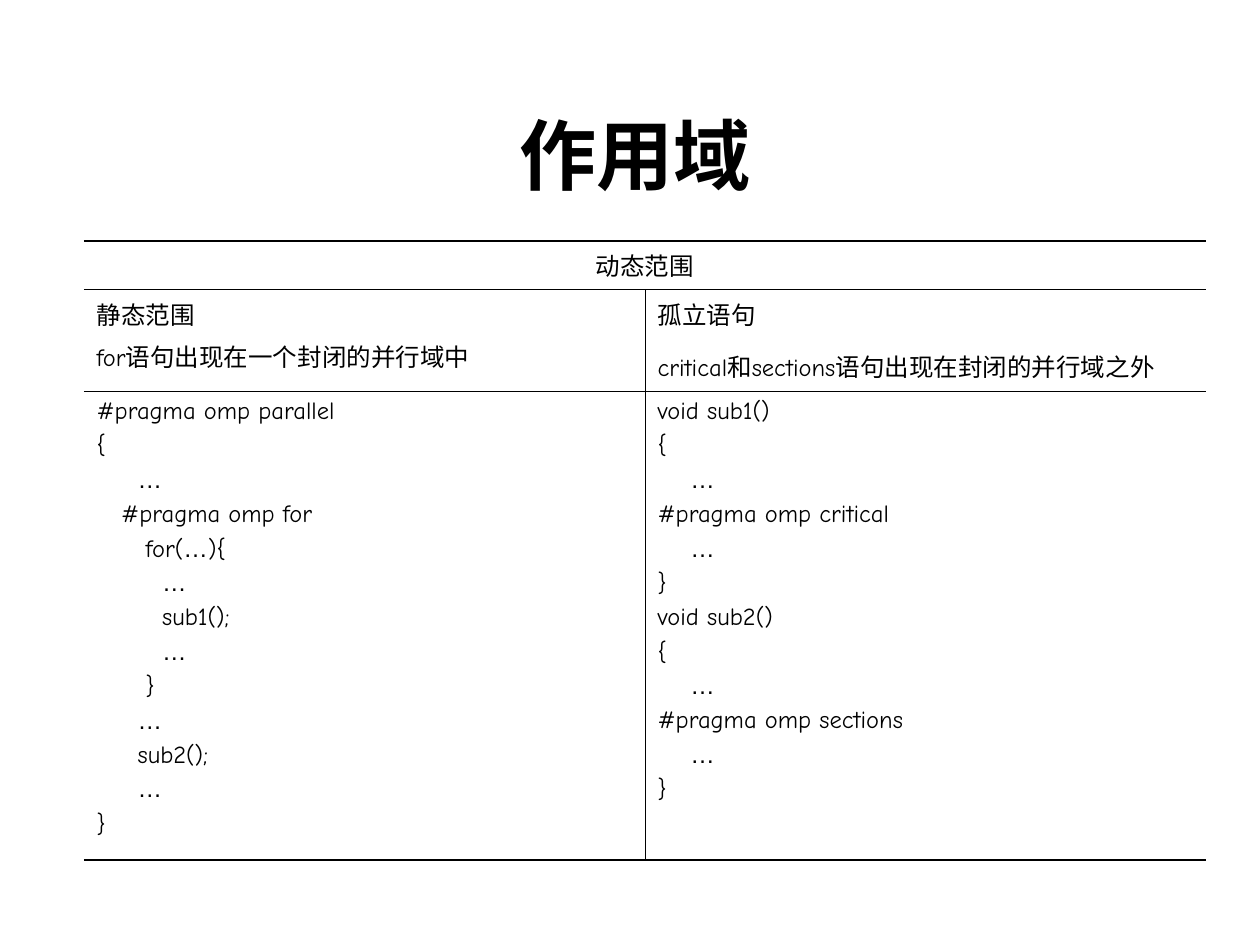
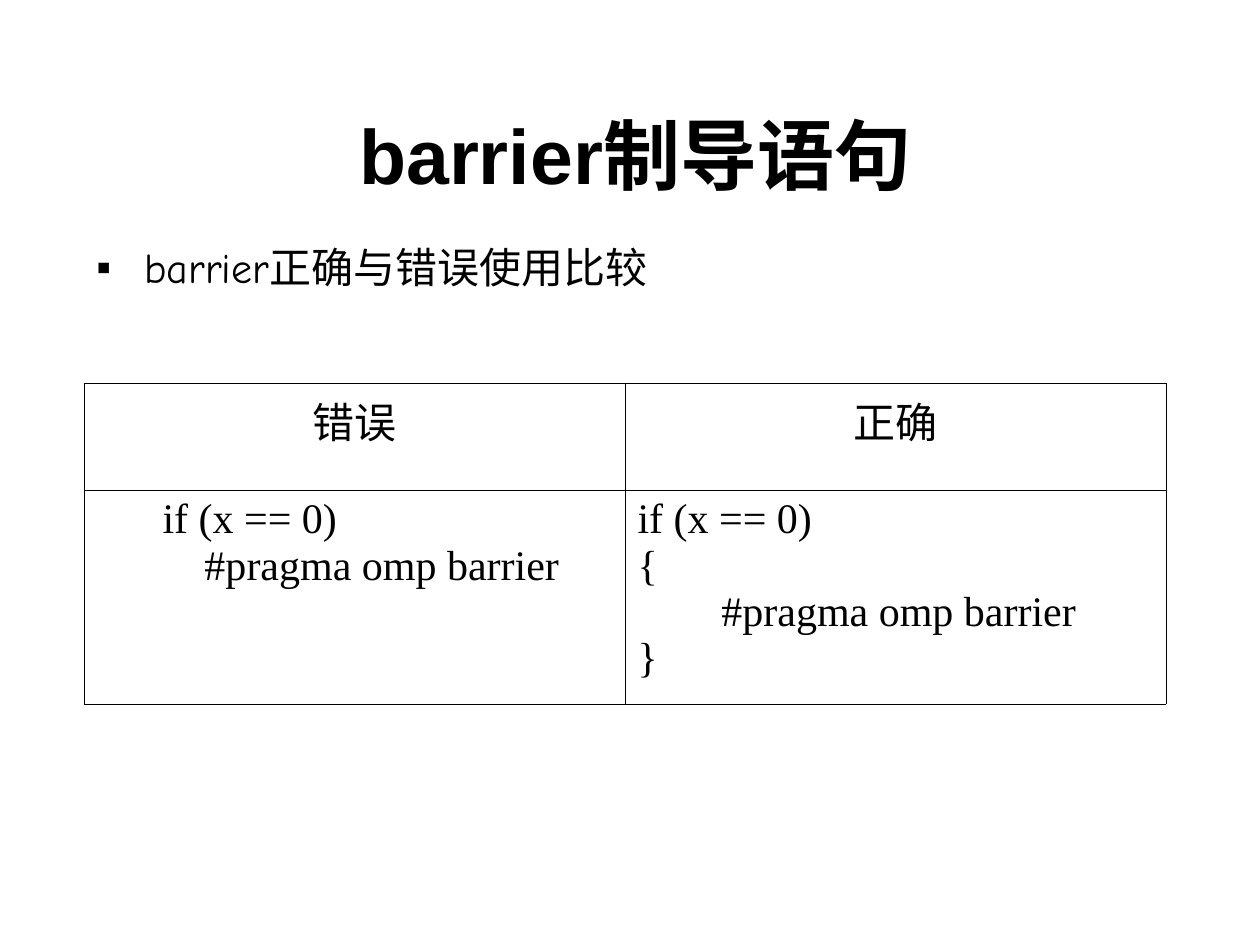
from itertools import groupby

from pptx import Presentation
from pptx.dml.color import RGBColor
from pptx.enum.text import MSO_ANCHOR, MSO_AUTO_SIZE, PP_ALIGN
from pptx.oxml import parse_xml
from pptx.oxml.ns import nsdecls
from pptx.util import Emu, Inches, Pt

PX_PER_INCH = 126
BLACK = RGBColor(0x00, 0x00, 0x00)
TITLE_FONT = "Arial"
BODY_FONT = "Comic Neue"
CODE_FONT = "Times New Roman"
ELLIPSIS = "…"
THIN, THICK = 0.45, 1.08
TABLE_LEFT = 84

STATIC_EXTENT = ["静态范围", "for语句出现在一个封闭的并行域中"]
ORPHANED = ["孤立语句", "critical和sections语句出现在封闭的并行域之外"]
PARALLEL_CODE = """#pragma omp parallel
{
     …
   #pragma omp for
      for(…){
        …
        sub1();
        …
      }
     …
     sub2();
     …
}""".split("\n")
SUBROUTINES_CODE = """void sub1()
{
    …
#pragma omp critical
    …
}
void sub2()
{
    …
#pragma omp sections
    …
}""".split("\n")
WRONG_CODE = ["if (x == 0)", "    #pragma omp barrier"]
RIGHT_CODE = ["if (x == 0)", "{", "        #pragma omp barrier", "}"]


def px(length):
    return Emu(round(length * Inches(1) / PX_PER_INCH))


def style_run(run, font, size, bold=False):
    run.font.name = font
    run.font.size = Pt(size)
    run.font.bold = bold
    run.font.color.rgb = BLACK


def write_lines(frame, lines, font, size, align=PP_ALIGN.LEFT, gap=0, indent=0):
    """Write one paragraph per line, with every ellipsis in the title font."""
    for number, line in enumerate(lines):
        paragraph = frame.add_paragraph() if number else frame.paragraphs[0]
        paragraph.alignment = align
        paragraph.space_before = Pt(gap if number else 0)
        if indent:
            paragraph._p.get_or_add_pPr().set("marL", str(px(indent)))
        for is_ellipsis, letters in groupby(line, lambda letter: letter == ELLIPSIS):
            run = paragraph.add_run()
            run.text = "".join(letters)
            style_run(run, TITLE_FONT if is_ellipsis else font, size)


def rule_cell(cell, left=0, right=0, top=0, bottom=0):
    """Clear the cell's fill and draw its borders; a width of 0 hides one."""
    cell.fill.background()
    properties = cell._tc.get_or_add_tcPr()
    widths = {"lnL": left, "lnR": right, "lnT": top, "lnB": bottom}
    for position, (side, width) in enumerate(widths.items()):
        paint = f'<a:solidFill><a:srgbClr val="{BLACK}"/></a:solidFill>' if width else "<a:noFill/>"
        border = f'<a:{side} {nsdecls("a")} w="{Pt(width)}">{paint}</a:{side}>'
        properties.insert(position, parse_xml(border))


def add_plain_table(slide, top, column_width, row_heights):
    columns = 2
    frame = slide.shapes.add_table(
        len(row_heights), columns, px(TABLE_LEFT), px(top),
        px(column_width * columns), px(sum(row_heights)))
    table = frame.table
    table.first_row = table.horz_banding = False
    for column in table.columns:
        column.width = px(column_width)
    for row, height in zip(table.rows, row_heights):
        row.height = px(height)
    return table


def add_titled_slide(deck, heading):
    slide = deck.slides.add_slide(deck.slide_layouts[5])
    title = slide.shapes.title
    title.left, title.top, title.width, title.height = map(px, (95, 95, 1081, 105))
    frame = title.text_frame
    frame.text = heading
    frame.auto_size = MSO_AUTO_SIZE.NONE
    frame.vertical_anchor = MSO_ANCHOR.BOTTOM
    frame.margin_top = frame.margin_bottom = 0
    frame.paragraphs[0].alignment = PP_ALIGN.CENTER
    style_run(frame.paragraphs[0].runs[0], TITLE_FONT, 44, bold=True)
    return slide


def add_bullet_text(slide, text):
    box = slide.shapes.add_textbox(px(TABLE_LEFT), px(242), px(1081), px(630))
    frame = box.text_frame
    frame.word_wrap = True
    frame.margin_top = 0
    properties = frame.paragraphs[0]._p.get_or_add_pPr()
    properties.set("marL", str(px(48)))
    properties.set("indent", str(px(-48)))
    for bullet in (f'<a:buClr {nsdecls("a")}><a:srgbClr val="{BLACK}"/></a:buClr>',
                   f'<a:buFont {nsdecls("a")} typeface="{TITLE_FONT}"/>',
                   f'<a:buChar {nsdecls("a")} char="▪"/>'):
        properties.append(parse_xml(bullet))
    write_lines(frame, [text], BODY_FONT, 24)


def add_scope_table(slide):
    table = add_plain_table(slide, 241, 561, [48, 102, 469])
    last_row = len(table.rows) - 1
    for row in range(last_row + 1):
        for column in range(2):
            divider = THIN if row else 0
            rule_cell(table.cell(row, column),
                      left=divider * column, right=divider * (1 - column),
                      top=THIN if row else THICK,
                      bottom=THICK if row == last_row else THIN)
    dynamic_extent = table.cell(0, 0)
    dynamic_extent.merge(table.cell(0, 1))
    write_lines(dynamic_extent.text_frame, ["动态范围"], BODY_FONT, 14, PP_ALIGN.CENTER)
    for row, column, lines, gap in ((1, 0, STATIC_EXTENT, 3.5),
                                    (1, 1, ORPHANED, 9.5),
                                    (2, 0, PARALLEL_CODE, 3.5),
                                    (2, 1, SUBROUTINES_CODE, 3.5)):
        write_lines(table.cell(row, column).text_frame, lines, BODY_FONT, 14, gap=gap)


def add_barrier_table(slide):
    table = add_plain_table(slide, 383, 541, [107, 214])
    usages = (("错误", WRONG_CODE, 66), ("正确", RIGHT_CODE, 0))
    for column, (verdict, code, indent) in enumerate(usages):
        header, body = table.cell(0, column), table.cell(1, column)
        for cell in (header, body):
            rule_cell(cell, THIN, THIN, THIN, THIN)
        write_lines(header.text_frame, [verdict], CODE_FONT, 24, PP_ALIGN.CENTER)
        write_lines(body.text_frame, code, CODE_FONT, 24, indent=indent)


def main():
    deck = Presentation()
    deck.slide_width, deck.slide_height = Inches(10), Inches(7.5)
    add_scope_table(add_titled_slide(deck, "作用域"))
    barrier_slide = add_titled_slide(deck, "barrier制导语句")
    add_barrier_table(barrier_slide)
    add_bullet_text(barrier_slide, "barrier正确与错误使用比较")
    deck.save("out.pptx")


if __name__ == "__main__":
    main()
